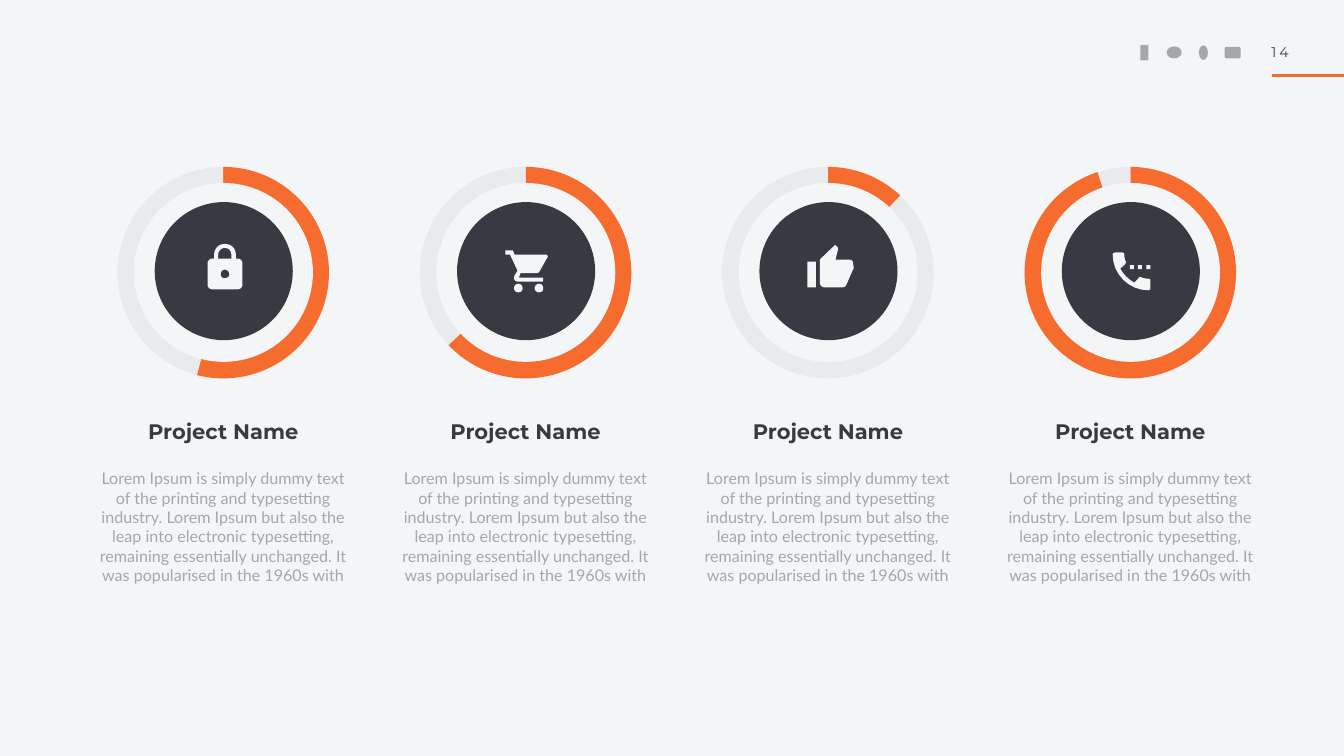
from lxml import etree
from pptx import Presentation
from pptx.chart.data import CategoryChartData
from pptx.dml.color import RGBColor
from pptx.enum.chart import XL_CHART_TYPE
from pptx.enum.shapes import MSO_CONNECTOR, MSO_SHAPE
from pptx.enum.text import MSO_ANCHOR, MSO_AUTO_SIZE, PP_ALIGN
from pptx.oxml import parse_xml
from pptx.oxml.ns import nsdecls, qn
from pptx.util import Inches, Pt

PIE = XL_CHART_TYPE.PIE
STRAIGHT = MSO_CONNECTOR.STRAIGHT
OVAL = MSO_SHAPE.OVAL
RECT = MSO_SHAPE.RECTANGLE
ROUNDED = MSO_SHAPE.ROUNDED_RECTANGLE
TOP, MIDDLE = MSO_ANCHOR.TOP, MSO_ANCHOR.MIDDLE
GROW, FIXED = MSO_AUTO_SIZE.SHAPE_TO_FIT_TEXT, MSO_AUTO_SIZE.NONE
LEFT, CENTER = PP_ALIGN.LEFT, PP_ALIGN.CENTER

PAPER = RGBColor(0xF4, 0xF5, 0xF7)
ORANGE = RGBColor(0xF5, 0x6C, 0x2E)
TRACK = RGBColor(0xE9, 0xEA, 0xEC)
DARK = RGBColor(0x39, 0x39, 0x41)
GRAY = RGBColor(0xA6, 0xA7, 0xAC)

PITCH = 6
BODY = ("Lorem Ipsum is simply dummy text of the printing and typesetting industry. "
        "Lorem Ipsum but also the leap into electronic typesetting, remaining "
        "essentially unchanged. It was popularised in the 1960s with")

# Outlines in hundredths of an inch: pairs are corners, sixes are Bezier curves.
LOCK = [
    [(60, 29), (56, 29), (56, 21), (56, 9, 47, 0, 34, 0), (22, 0, 13, 9, 13, 21),
     (13, 29), (9, 29), (4, 29, 0, 34, 0, 38), (0, 81), (0, 86, 4, 90, 9, 90),
     (60, 90), (65, 90, 69, 86, 69, 81), (69, 38), (69, 34, 65, 29, 60, 29)],
    [(34, 68), (29, 68, 26, 65, 26, 60), (26, 55, 29, 51, 34, 51),
     (39, 51, 43, 55, 43, 60), (43, 65, 39, 68, 34, 68)],
    [(47, 29), (21, 29), (21, 21), (21, 14, 27, 8, 34, 8), (42, 8, 47, 14, 47, 21)],
]
CART = [
    [(0, 0), (0, 8), (9, 8), (24, 40), (18, 50), (18, 51, 17, 53, 17, 54),
     (17, 59, 21, 62, 26, 62), (75, 62), (75, 54), (27, 54), (27, 53), (30, 45),
     (61, 45), (64, 45, 66, 44, 68, 41), (83, 14), (84, 14, 84, 14, 84, 13),
     (84, 10, 82, 8, 80, 8), (18, 8), (15, 0)],
] + [
    [(x, 66), (x - 5, 66, x - 9, 70, x - 9, 75), (x - 9, 80, x - 5, 83, x, 83),
     (x + 5, 83, x + 8, 80, x + 8, 75), (x + 8, 70, x + 5, 66, x, 66)]
    for x in (26, 67)
]
THUMB = [
    [(0, 84), (17, 84), (17, 33), (0, 33)],
    [(91, 37), (91, 32, 87, 29, 83, 29), (56, 29), (61, 9), (61, 7, 60, 5, 60, 4),
     (55, 0), (27, 27), (25, 28, 25, 31, 25, 33), (25, 75), (25, 80, 29, 84, 33, 84),
     (71, 84), (74, 84, 77, 81, 78, 78), (91, 48), (92, 48, 92, 46, 92, 45)],
]
PHONE = [
    [(71, 52), (66, 52, 61, 51, 56, 49), (55, 48, 53, 49, 52, 50), (43, 60),
     (31, 53, 22, 44, 15, 32), (25, 23), (26, 22, 26, 20, 26, 18),
     (24, 14, 23, 9, 23, 4), (23, 2, 22, 0, 19, 0), (5, 0), (2, 0, 0, 2, 0, 4),
     (0, 43, 32, 75, 71, 75), (73, 75, 75, 73, 75, 71), (75, 56),
     (75, 53, 73, 52, 71, 52)],
] + [[(x, 25), (x + 8, 25), (x + 8, 33), (x, 33)] for x in (34, 50, 67)]

# Percentage done, icon outline, icon left and top
PROJECTS = [(54, LOCK, 4.12, 4.84), (63, CART, 10.03, 4.97),
            (12, THUMB, 16.02, 4.86), (95, PHONE, 22.08, 5.01)]


def add_text(box, text, size, font, color, align=LEFT, anchor=TOP, fit=GROW):
    """Add a one-run text box and return its run."""
    tf = s.shapes.add_textbox(*map(Inches, box)).text_frame
    tf.word_wrap, tf.auto_size, tf.vertical_anchor = True, fit, anchor
    tf.margin_left = tf.margin_right = tf.margin_top = tf.margin_bottom = Inches(0.04)
    p = tf.paragraphs[0]
    p.alignment = align
    r = p.add_run()
    r.text = text
    r.font.size, r.font.name = Pt(size), font
    r.font.color.rgb = color
    return r, p


def style(shape, color):
    """Give a shape a plain fill without line or shadow."""
    shape.fill.solid()
    shape.fill.fore_color.rgb = color
    shape.line.fill.background()
    shape.shadow.inherit = False


prs = Presentation()
prs.slide_width, prs.slide_height = Inches(26.67), Inches(15)
s = prs.slides.add_slide(prs.slide_layouts[6])
s.background.fill.solid()
s.background.fill.fore_color.rgb = PAPER

# Header
for kind, *box in [(RECT, 22.63, 0.89, 0.16, 0.31), (OVAL, 23.15, 0.92, 0.3, 0.24),
                   (OVAL, 23.79, 0.9, 0.18, 0.29), (ROUNDED, 24.3, 0.93, 0.32, 0.23)]:
    style(s.shapes.add_shape(kind, *map(Inches, box)), GRAY)
rule = s.shapes.add_connector(STRAIGHT, Inches(25.24), Inches(1.5), Inches(26.67), Inches(1.5))
rule.line.color.rgb = ORANGE
rule.line.width = Pt(4)
etree.SubElement(rule._element.spPr, qn("a:effectLst"))
r, p = add_text((25.19, 0.83, 0.66, 0.42), "14", 20, "Montserrat", DARK)
r.font._element.set("spc", "400")

# Project columns
for i, (done, icon, icon_left, icon_top) in enumerate(PROJECTS):
    x = i * PITCH
    data = CategoryChartData()
    data.categories = ["1", "2"]
    data.add_series("Series 1", (done, 100 - done))
    chart = s.shapes.add_chart(PIE, Inches(x + 2.31), Inches(3.29),
                               Inches(4.24), Inches(4.24), data).chart
    chart.has_legend = chart.has_title = False
    chart.font.size, chart.font.name = Pt(10), "Montserrat"
    chart.font.color.rgb = GRAY
    plot = chart.plots[0]
    plot.vary_by_categories = False
    series = plot.series[0]
    series.format.fill.solid()
    series.format.fill.fore_color.rgb = ORANGE
    for n, color in enumerate((ORANGE, TRACK)):
        fmt = series.points[n].format
        fmt.fill.solid()
        fmt.fill.fore_color.rgb = color
        fmt.line.fill.background()
    area = chart._chartSpace.chart.plotArea
    for old in area.findall(qn("c:layout")):
        area.remove(old)
    area.insert(0, parse_xml(
        f'<c:layout {nsdecls("c")}><c:manualLayout><c:layoutTarget val="inner"/>'
        '<c:xMode val="edge"/><c:yMode val="edge"/><c:x val="0.005"/><c:y val="0.005"/>'
        '<c:w val="0.99"/><c:h val="0.99"/></c:manualLayout></c:layout>'))

    for left, top, size, color in [(2.66, 3.63, 3.55, PAPER), (3.07, 4.01, 2.74, DARK)]:
        style(s.shapes.add_shape(OVAL, Inches(x + left), Inches(top),
                                 Inches(size), Inches(size)), color)

    builder = None
    for contour in icon:
        points = []
        for step in contour:
            if len(step) == 2:
                points.append(step)
                continue
            (ax, ay), (bx, by, cx, cy, dx, dy) = points[-1], step
            for t in (k / 8 for k in range(1, 9)):
                u = 1 - t
                points.append(tuple(
                    u**3 * a + 3 * u * u * t * b + 3 * u * t * t * c + t**3 * d
                    for a, b, c, d in ((ax, bx, cx, dx), (ay, by, cy, dy))))
        points = [(Inches(icon_left + px / 100), Inches(icon_top + py / 100))
                  for px, py in points]
        if builder is None:
            builder = s.shapes.build_freeform(*points[0])
        else:
            builder.move_to(*points[0])
        builder.add_line_segments(points[1:], close=True)
    style(builder.convert_to_shape(), PAPER)

    add_text((x + 1.93, 9.26, 5, 2.83), BODY, 23, "Lato", GRAY, CENTER, fit=FIXED)
    r, p = add_text((x + 1.94, 8.31, 4.98, 0.6), "Project Name", 30, "Montserrat",
                    DARK, CENTER, MIDDLE)
    r.font.bold = True
    p.line_spacing = 0.8

prs.save("out.pptx")
